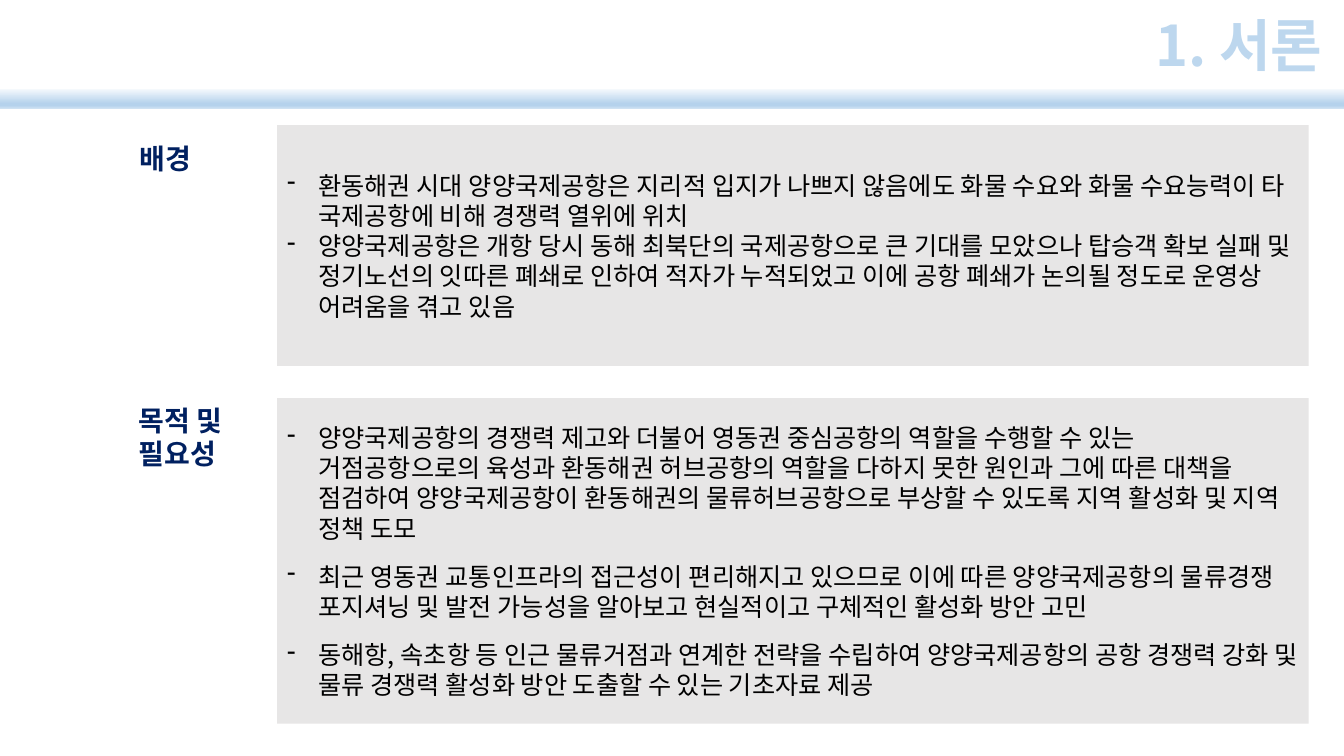
from lxml.etree import SubElement
from pptx import Presentation
from pptx.dml.color import RGBColor
from pptx.enum.shapes import MSO_SHAPE
from pptx.enum.text import MSO_ANCHOR, PP_ALIGN
from pptx.oxml.ns import qn
from pptx.util import Emu, Pt

PX = 9144  # EMU per px, 100 px to the inch
FONT = "Noto Sans CJK KR"
COLORS = {"title": "BDD7EE", "label": "002060", "body": "000000", "panel": "E7E6E6"}
BAND_STOPS = [(0, "F7FAFD"), (74, "B5D2EC"), (83, "B5D2EC"), (100, "CEE1F2")]
INDENT = 31

HEADINGS = [
    # left, top, width, height, lines, size, color, alignment
    (309, 6, 1012, 77, ["1. 서론"], 40, "title", PP_ALIGN.RIGHT),
    (129, 135, 87, 44, ["배경"], 20, "label", PP_ALIGN.LEFT),
    (128, 395, 121, 77, ["목적 및", "필요성"], 20, "label", PP_ALIGN.LEFT),
]
PANELS = [
    # top, height, gap between points in pt, points
    (124, 239, 0, [
        "환동해권 시대 양양국제공항은 지리적 입지가 나쁘지 않음에도 화물 수요와 화물 수요능력이 "
        "타 국제공항에 비해 경쟁력 열위에 위치",
        "양양국제공항은 개항 당시 동해 최북단의 국제공항으로 큰 기대를 모았으나 탑승객 확보 실패 "
        "및 정기노선의 잇따른 폐쇄로 인하여 적자가 누적되었고 이에 공항 폐쇄가 논의될 정도로 "
        "운영상 어려움을 겪고 있음",
    ]),
    (395, 323, 12.6, [
        "양양국제공항의 경쟁력 제고와 더불어 영동권 중심공항의 역할을 수행할 수 있는 "
        "거점공항으로의 육성과 환동해권 허브공항의 역할을 다하지 못한 원인과 그에 따른 대책을 "
        "점검하여 양양국제공항이 환동해권의 물류허브공항으로 부상할 수 있도록 지역 활성화 및 지역 "
        "정책 도모",
        "최근 영동권 교통인프라의 접근성이 편리해지고 있으므로 이에 따른 양양국제공항의 물류경쟁 "
        "포지셔닝 및 발전 가능성을 알아보고 현실적이고 구체적인 활성화 방안 고민",
        "동해항, 속초항 등 인근 물류거점과 연계한 전략을 수립하여 양양국제공항의 공항 경쟁력 강화 "
        "및 물류 경쟁력 활성화 방안 도출할 수 있는 기초자료 제공",
    ]),
]


def add_rectangle(*box):
    rectangle = slide.shapes.add_shape(MSO_SHAPE.RECTANGLE, *(Emu(v * PX) for v in box))
    rectangle.shadow.inherit = False
    rectangle.line.fill.background()
    return rectangle


def write_lines(frame, lines, size, color, align, bold=False):
    """Fill the frame with one paragraph per line, in Latin and East Asian font alike."""
    frame.word_wrap = True
    frame.text = "\n".join(lines)
    for paragraph in frame.paragraphs:
        paragraph.alignment = align
        font = paragraph.font
        font.name, font.size, font.bold = FONT, Pt(size), bold
        font.color.rgb = RGBColor.from_string(COLORS[color])
        defaults = paragraph._p.pPr.find(qn("a:defRPr"))
        SubElement(defaults, qn("a:ea")).set("typeface", FONT)


prs = Presentation()
prs.slide_width, prs.slide_height = Emu(1333 * PX), Emu(750 * PX)
slide = prs.slides.add_slide(prs.slide_layouts[6])

band = add_rectangle(0, 88, 1333, 20)
band.fill.gradient()
band.fill.gradient_angle = 270
stops = band._element.spPr.find(qn("a:gradFill")).find(qn("a:gsLst"))
for default_stop in list(stops):
    stops.remove(default_stop)
for percent, color in BAND_STOPS:
    stop = SubElement(stops, qn("a:gs"))
    stop.set("pos", str(percent * 1000))
    SubElement(stop, qn("a:srgbClr")).set("val", color)

for left, top, width, height, lines, size, color, align in HEADINGS:
    heading = slide.shapes.add_textbox(*(Emu(v * PX) for v in (left, top, width, height)))
    write_lines(heading.text_frame, lines, size, color, align, bold=True)

for top, height, gap, points in PANELS:
    panel = add_rectangle(275, top, 1023, height)
    panel.fill.solid()
    panel.fill.fore_color.rgb = RGBColor.from_string(COLORS["panel"])
    panel.text_frame.vertical_anchor = MSO_ANCHOR.MIDDLE
    write_lines(panel.text_frame, points, 18, "body", PP_ALIGN.LEFT)
    for number, point in enumerate(panel.text_frame.paragraphs):
        point.space_before = Pt(gap if number else 0)
        properties = point._p.pPr
        properties.set("marL", str(INDENT * PX))
        properties.set("indent", str(-INDENT * PX))
        bullet = SubElement(properties, qn("a:buChar"))
        bullet.set("char", "-")
        properties.find(qn("a:defRPr")).addprevious(bullet)

prs.save("out.pptx")
